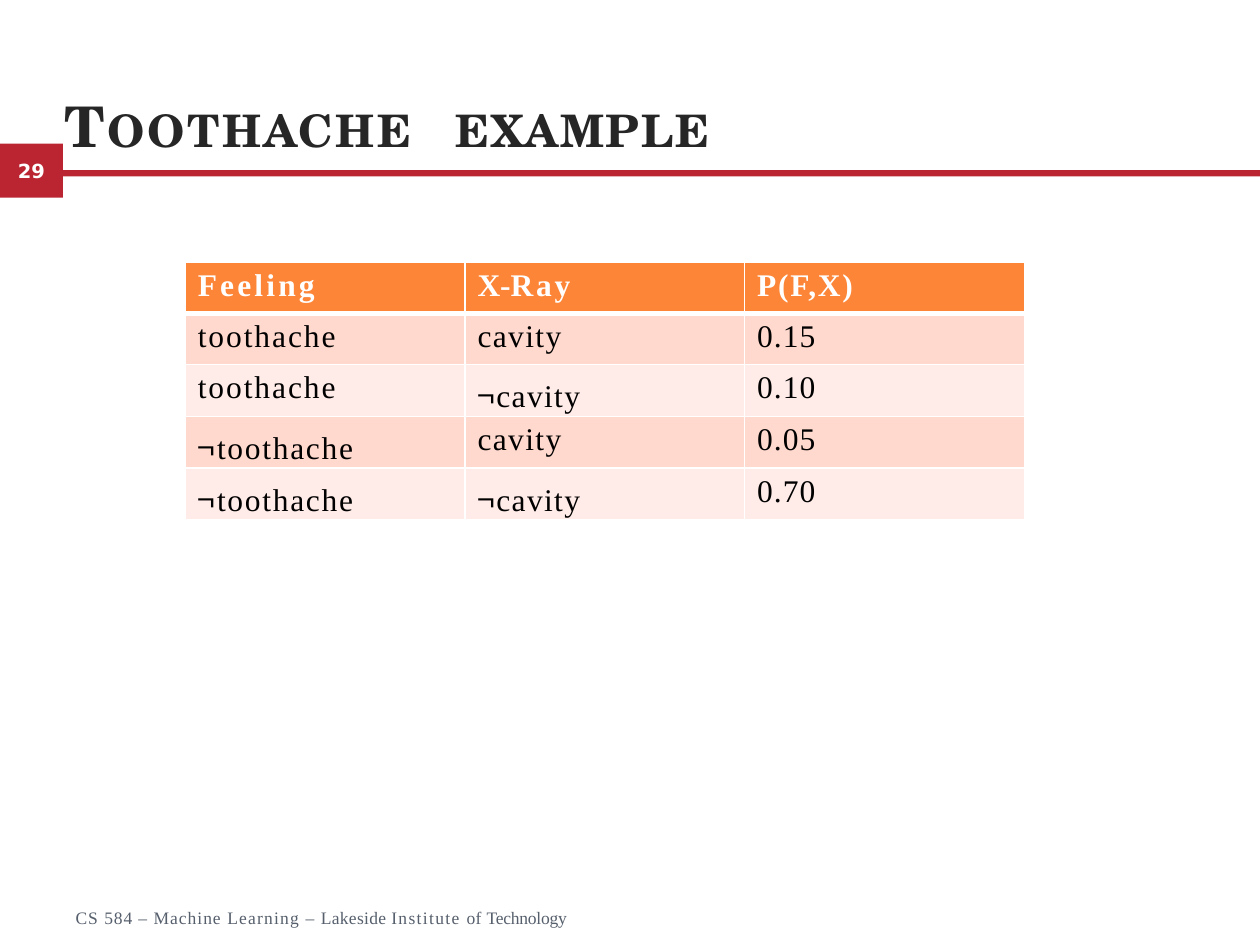
from lxml import etree
from pptx import Presentation
from pptx import util as u
from pptx.dml.color import RGBColor
from pptx.enum import shapes, text
from pptx.oxml.ns import qn

RED, WHITE = "BB2532", "FFFFFF"
SERIF, SANS = "Times New Roman", "Noto Sans CJK JP"
HEAD, BANDS = "FD8537", ("FFD9CE", "FFECE8")


def paint(item, color):
    """Give a fill or a font a solid hex colour."""
    if hasattr(item, "solid"):
        item.solid()
        item.fore_color.rgb = RGBColor.from_string(color)
    else:
        item.color.rgb = RGBColor.from_string(color)


def place(shape, box):
    for side, size in zip(("left", "top", "width", "height"), box):
        setattr(shape, side, u.Inches(size))


def edge(cell, widths):
    """Draw white cell borders; widths are points for left, right, top, bottom."""
    props = cell._tc.get_or_add_tcPr()
    for i, (side, width) in enumerate(zip("LRTB", widths)):
        line = etree.Element(qn(f"a:ln{side}"), w=str(u.Pt(width)))
        fill = etree.SubElement(line, qn("a:solidFill"))
        etree.SubElement(fill, qn("a:srgbClr"), val=WHITE)
        props.insert(i, line)


class Deck:
    title = dict(name="TeX Gyre Schola", size=u.Pt(32), bold=True, color="262626")
    number = dict(name="DejaVu Sans", size=u.Pt(11.1), bold=True, color=WHITE)
    foot = dict(name=SERIF, size=u.Pt(10), color="565F6C")
    head = dict(name=SERIF, size=u.Pt(18), bold=True, color=WHITE)
    body = dict(head, bold=False, color="000000")

    def __init__(self, slide):
        self.slide = slide

    def words(self, frame, runs, style, before=0, align=text.PP_ALIGN.LEFT, small=False):
        """Fill the first paragraph with (words, letter spacing) runs."""
        para = frame.paragraphs[0]
        para.alignment = align
        para.space_before = u.Pt(before)
        for part, gap in runs:
            run = para.add_run()
            run.text = part
            look = dict(style, name=SANS) if part == "¬" else style
            for key, value in look.items():
                if key == "color":
                    paint(run.font, value)
                else:
                    setattr(run.font, key, value)
            props = run._r.get_or_add_rPr()
            props.set("spc", str(round(gap * 100)))
            if small:
                props.set("cap", "small")

    def frame(self, frame, anchor, left=0, top=0):
        values = dict(margin_left=u.Inches(left), margin_top=u.Inches(top),
                      margin_right=0, margin_bottom=0, word_wrap=True,
                      auto_size=text.MSO_AUTO_SIZE.NONE, vertical_anchor=anchor)
        for key, value in values.items():
            setattr(frame, key, value)
        return frame

    def block(self, box):
        shape = self.slide.shapes.add_shape(
            shapes.MSO_SHAPE.RECTANGLE, *map(u.Inches, box))
        shape.shadow.inherit = False
        paint(shape.fill, RED)
        shape.line.fill.background()
        return self.frame(shape.text_frame, text.MSO_ANCHOR.MIDDLE)

    def heading(self, box, runs):
        shape = self.slide.shapes.title
        place(shape, box)
        frame = self.frame(shape.text_frame, text.MSO_ANCHOR.BOTTOM, 0.01, 0.01)
        self.words(frame, runs, self.title, 1, small=True)

    def label(self, box, runs):
        shape = self.slide.shapes.add_textbox(*map(u.Inches, box))
        frame = self.frame(shape.text_frame, text.MSO_ANCHOR.TOP, 0.01)
        self.words(frame, runs, self.foot, 0.8)

    def table(self, box, rows):
        grid = self.slide.shapes.add_table(
            len(rows), len(rows[0]), *map(u.Inches, box)).table
        for r, row in enumerate(rows):
            for c, runs in enumerate(row):
                cell = grid.cell(r, c)
                cell.margin_left, cell.margin_top = u.Inches(0.1), u.Inches(0.05)
                cell.margin_right = cell.margin_bottom = 0
                paint(cell.fill, BANDS[(r - 1) % 2] if r else HEAD)
                edge(cell, (1, 1, 3 if r == 1 else 1, 1 if r else 3))
                self.words(cell.text_frame, runs, self.body if r else self.head,
                           3.4 if r else 3.2)


def main():
    show = Presentation()
    show.slide_width, show.slide_height = u.Inches(10), u.Inches(7.5)
    deck = Deck(show.slides.add_slide(show.slide_layouts[5]))

    badge = deck.block((0, 1.14, 0.5, 0.43))
    deck.words(badge, [("29", 0)], deck.number, align=text.PP_ALIGN.CENTER)
    deck.block((0.5, 1.35, 9.5, 0.05))
    deck.heading((0.5, 0.38, 9, 0.88), [("Toothache ", 1.5), ("example", 0.9)])
    deck.label((0.59, 7.2, 3.94, 0.2), [
        ("CS ", 0.6), ("584 ", 0.5), ("– Machine ", 0.6), ("Learning ", 0.7),
        ("– ", 0.6), ("Lakeside ", 0.2), ("Institute ", 0.8), ("of ", 0.2),
        ("Technology", -0.1)])

    ache, hole = [("toothache", 1.1)], [("cavity", 0.8)]
    well, sound = [("¬", 1), ("toothache", 1)], [("¬", 0.8), ("cavity", 0.8)]
    cases = [(ache, hole, "0.15"), (ache, sound, "0.10"),
             (well, hole, "0.05"), (well, sound, "0.70")]
    names = ([("Feeling", 1.8)], [("X-", -0.1), ("Ray", 1.6)], [("P(F,X)", 1)])
    deck.table((1.47, 2.08, 6.66, 2.03),
               [names] + [(f, x, [(p, 0.6)]) for f, x, p in cases])

    show.save("out.pptx")


if __name__ == "__main__":
    main()
